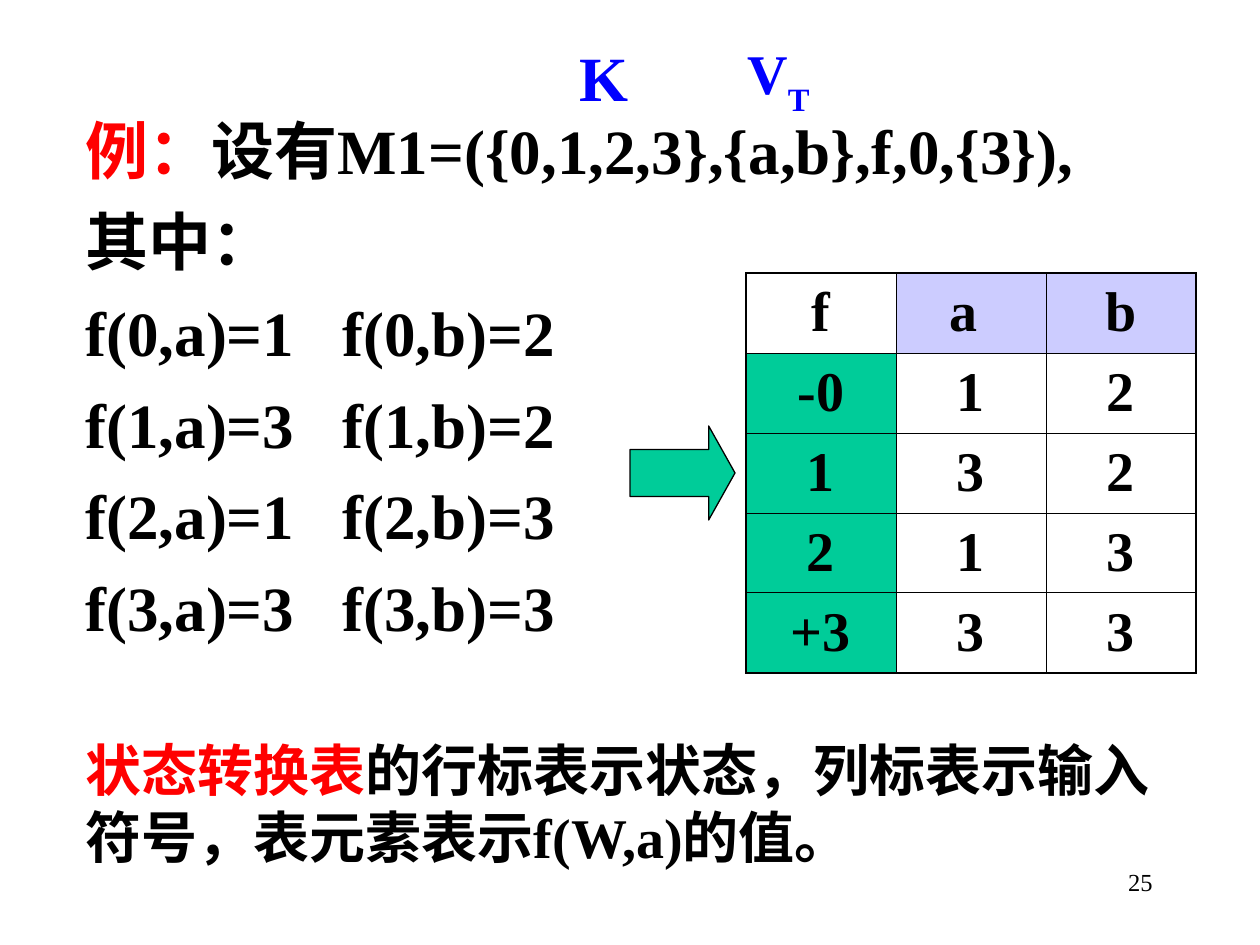
from lxml import etree
from pptx import Presentation, util as u
from pptx.dml.color import RGBColor
from pptx.enum import shapes, text
from pptx.oxml import ns

PX = 914400 // 126
FONT = "Times New Roman"
BLACK = RGBColor(0, 0, 0)
RED = RGBColor(0xFF, 0, 0)
BLUE = RGBColor(0, 0, 0xFF)
GREEN = RGBColor(0, 0xCC, 0x99)
LILAC = RGBColor(0xCC, 0xCC, 0xFF)

# Content: each body line is (runs, size, space before)
BODY = [
    ([("例：", RED), ("设有M1=({0,1,2,3},{a,b},f,0,{3}),", BLACK)], 36, 9),
    ([("其中：", BLACK)], 36, 9),
    ([("f(0,a)=1\tf(0,b)=2", BLACK)], 36, 9),
    ([("f(1,a)=3\tf(1,b)=2", BLACK)], 36, 9),
    ([("f(2,a)=1\tf(2,b)=3", BLACK)], 36, 9),
    ([("f(3,a)=3\tf(3,b)=3", BLACK)], 36, 9),
    ([("状态转换表", RED), ("的行标表示状态，列标表示输入", BLACK)], 32, 52.2),
    ([("符号，表元素表示f(W,a)的值。", BLACK)], 32, 0),
]
STATES = [
    ("f", "a ", "b"),
    ("-0", "1", "2"),
    ("1", "3", "2"),
    ("2", "1", "3"),
    ("+3", "3", "3"),
]
TAB = 257
COL, ROW = 150, 80
THIN, THICK = 0.45, 1.08


def style(run, size, color, bold=True):
    run.font.name = FONT
    run.font.size = u.Pt(size)
    run.font.bold = bold
    run.font.color.rgb = color


def add_box(slide, *area):
    frame = slide.shapes.add_textbox(*(v * PX for v in area)).text_frame
    frame.word_wrap = True
    return frame


def add_run(para, words, size, color, bold=True):
    run = para.add_run()
    run.text = words
    style(run, size, color, bold)
    return run


def add_tab(para, pos):
    tabs = etree.SubElement(para._p.get_or_add_pPr(), ns.qn("a:tabLst"))
    etree.SubElement(tabs, ns.qn("a:tab"), pos=str(pos * PX), algn="l")


def add_edge(cell, side, width):
    line = etree.SubElement(cell._tc.get_or_add_tcPr(), ns.qn("a:ln" + side),
                            w=str(u.Pt(width)))
    fill = etree.SubElement(line, ns.qn("a:solidFill"))
    etree.SubElement(fill, ns.qn("a:srgbClr"), val=str(BLACK))


def add_states(slide):
    rows, cols = len(STATES), len(STATES[0])
    table = slide.shapes.add_table(rows, cols, 746 * PX, 273 * PX,
                                   cols * COL * PX, rows * ROW * PX).table
    table.first_row = table.horz_banding = False
    for r, row in enumerate(STATES):
        for c, words in enumerate(row):
            cell = table.cell(r, c)
            cell.vertical_anchor = text.MSO_ANCHOR.MIDDLE
            para = cell.text_frame.paragraphs[0]
            para.alignment = text.PP_ALIGN.CENTER
            add_run(para, words, 32, BLACK)
            outer = {"L": c == 0, "R": c == cols - 1,
                     "T": r == 0, "B": r == rows - 1}
            for side, edge in outer.items():
                add_edge(cell, side, THICK if edge else THIN)
            # Row labels are green, column labels lilac
            if (r == 0) == (c == 0):
                cell.fill.background()
            else:
                cell.fill.solid()
                cell.fill.fore_color.rgb = GREEN if c == 0 else LILAC
            if r and c:
                cell.fill.background()


def main():
    deck = Presentation()
    deck.slide_width, deck.slide_height = u.Inches(10), u.Inches(7.5)
    slide = deck.slides.add_slide(deck.slide_layouts[6])

    # Slide number
    para = add_box(slide, 903, 861, 262, 63).paragraphs[0]
    para.alignment = text.PP_ALIGN.RIGHT
    add_run(para, "25", 14, BLACK, False)

    # Definition and note
    frame = add_box(slide, 73, 105, 1113, 798)
    for i, (runs, size, gap) in enumerate(BODY):
        para = frame.add_paragraph() if i else frame.paragraphs[0]
        para.space_before = u.Pt(gap)
        if "\t" in runs[0][0]:
            add_tab(para, TAB)
        for words, color in runs:
            add_run(para, words, size, color)

    # Transition table
    add_states(slide)

    # Arrow to the table
    arrow = slide.shapes.add_shape(shapes.MSO_SHAPE.RIGHT_ARROW,
                                   *(v * PX for v in (630, 426, 105, 94)))
    arrow.adjustments[0], arrow.adjustments[1] = 0.5, 0.28
    arrow.shadow.inherit = False
    arrow.fill.solid()
    arrow.fill.fore_color.rgb = GREEN
    arrow.line.color.rgb = BLACK
    arrow.line.width = u.Pt(0.75)

    # Labels over the definition
    add_run(add_box(slide, 567, 32, 63, 88).paragraphs[0], "K", 36, BLUE)
    para = add_box(slide, 735, 32, 94, 92).paragraphs[0]
    add_run(para, "V", 32, BLUE)
    sub = add_run(para, "T", 32, BLUE)
    sub.font._element.set("baseline", "-30000")

    deck.save("out.pptx")


if __name__ == "__main__":
    main()
